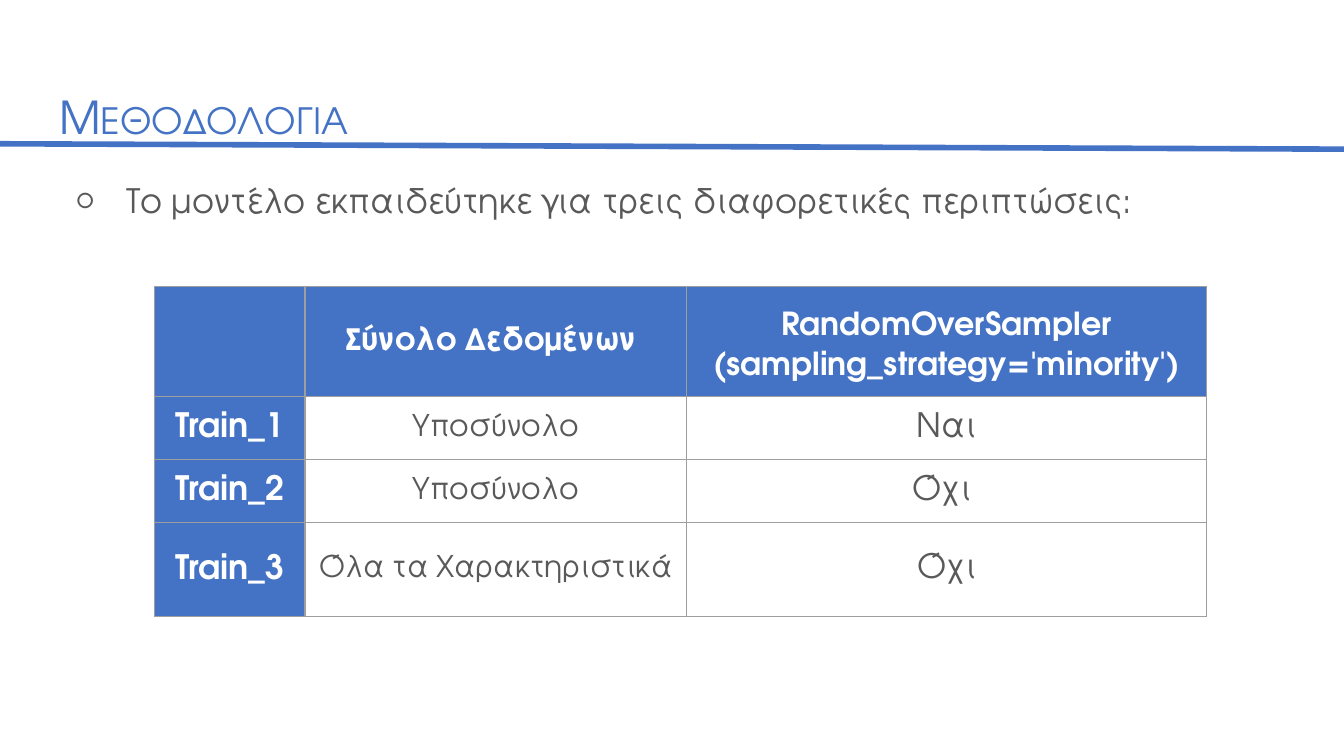
"""Builds the methodology slide with its table of three training cases."""
from lxml import etree
from pptx import Presentation
from pptx.dml.color import RGBColor
from pptx.enum.shapes import MSO_CONNECTOR
from pptx.enum.text import MSO_ANCHOR, MSO_AUTO_SIZE, PP_ALIGN
from pptx.oxml import parse_xml
from pptx.oxml.ns import nsdecls, qn
from pptx.util import Inches, Pt

STRAIGHT = MSO_CONNECTOR.STRAIGHT
TOP, MIDDLE = MSO_ANCHOR.TOP, MSO_ANCHOR.MIDDLE
NO_FIT = MSO_AUTO_SIZE.NONE
LEFT, CENTER = PP_ALIGN.LEFT, PP_ALIGN.CENTER
BLUE = RGBColor(0x44, 0x72, 0xC4)
GRAY = RGBColor(0x59, 0x59, 0x59)
WHITE = RGBColor(0xFF, 0xFF, 0xFF)
BORDER = RGBColor(0x9E, 0x9E, 0x9E)
FONT = "TeX Gyre Adventor"


def add_span(para, text, size, color, bold=False):
    span = para.add_run()
    span.text = text
    span.font.name = FONT
    span.font.size = Pt(size)
    span.font.bold = bold
    span.font.color.rgb = color
    return span


def place_text(box, left, top, width, height):
    box.left, box.top = Inches(left), Inches(top)
    box.width, box.height = Inches(width), Inches(height)
    frame = box.text_frame
    frame.margin_left = frame.margin_right = Inches(0.1)
    frame.margin_top = frame.margin_bottom = Inches(0.1)
    frame.word_wrap = True
    frame.auto_size = NO_FIT
    frame.vertical_anchor = TOP
    para = frame.paragraphs[0]
    para.alignment = LEFT
    para.space_before = Pt(0)
    return para


deck = Presentation()
deck.slide_width = Inches(10)
deck.slide_height = deck.slide_width * 9 // 16
page = deck.slides.add_slide(deck.slide_layouts[1])

rule = page.shapes.add_connector(
    STRAIGHT, Inches(-0.01), Inches(1.07), Inches(10.01), Inches(1.11))
rule.line.color.rgb = BLUE
rule.line.width = Pt(3)
etree.SubElement(rule._element.spPr, qn("a:effectLst"))

para = place_text(page.shapes.title, 0.34, 0.5, 9.32, 0.63)
para.line_spacing = 1.15
span = add_span(para, "Μεθοδολογια", 24.3, BLUE)
span.font._element.set("cap", "small")

para = place_text(page.placeholders[1], 0.34, 1.26, 9.32, 3.74)
para.line_spacing = 0.95
add_span(para, "Το μοντέλο εκπαιδεύτηκε για τρεις διαφορετικές περιπτώσεις:", 18, GRAY)
settings = para._p.get_or_add_pPr()
settings.set("marL", str(Inches(0.5)))
settings.set("indent", str(Inches(-0.38)))
settings.append(parse_xml(
    f'<a:buClr {nsdecls("a")}><a:srgbClr val="{GRAY}"/></a:buClr>'))
settings.append(parse_xml(f'<a:buSzPct {nsdecls("a")} val="78000"/>'))
settings.append(parse_xml(f'<a:buFont {nsdecls("a")} typeface="{FONT}"/>'))
settings.append(parse_xml(f'<a:buChar {nsdecls("a")} char="○"/>'))

COLUMN_WIDTHS = [1.12, 2.84, 3.87]
ROW_HEIGHTS = [0.82, 0.47, 0.47, 0.7]
ROWS = [
    ["", "Σύνολο Δεδομένων ", "RandomOverSampler\n(sampling_strategy='minority')"],
    ["Train_1", "Υποσύνολο", "Ναι"],
    ["Train_2", "Υποσύνολο", "Όχι "],
    ["Train_3", "Όλα τα Χαρακτηριστικά", "Όχι"],
]
BODY_SIZES = [18, 16, 18]

table = page.shapes.add_table(
    len(ROWS), len(COLUMN_WIDTHS), Inches(1.15), Inches(2.13),
    Inches(sum(COLUMN_WIDTHS)), Inches(sum(ROW_HEIGHTS))).table
for column, width in zip(table.columns, COLUMN_WIDTHS):
    column.width = Inches(width)
for row, height in zip(table.rows, ROW_HEIGHTS):
    row.height = Inches(height)

for row_index, texts in enumerate(ROWS):
    for column_index, text in enumerate(texts):
        cell = table.cell(row_index, column_index)
        is_header = row_index == 0 or column_index == 0
        cell.vertical_anchor = MIDDLE
        cell.margin_left = cell.margin_right = Inches(0.1)
        cell.margin_top = cell.margin_bottom = Inches(0.1)
        for side in ("lnL", "lnR", "lnT", "lnB"):
            cell._tc.get_or_add_tcPr().append(parse_xml(
                f'<a:{side} {nsdecls("a")} w="{Pt(0.75)}"><a:solidFill>'
                f'<a:srgbClr val="{BORDER}"/></a:solidFill></a:{side}>'))
        cell.fill.solid()
        cell.fill.fore_color.rgb = BLUE if is_header else WHITE
        lines = text.split("\n") if text else []
        for line_index, line in enumerate(lines):
            frame = cell.text_frame
            para = frame.add_paragraph() if line_index else frame.paragraphs[0]
            para.alignment = CENTER
            if len(lines) > 1:
                para.line_spacing = 1.36
            size = 17 if row_index == 0 else BODY_SIZES[column_index]
            add_span(para, line, size, WHITE if is_header else GRAY, is_header)

deck.save("out.pptx")
